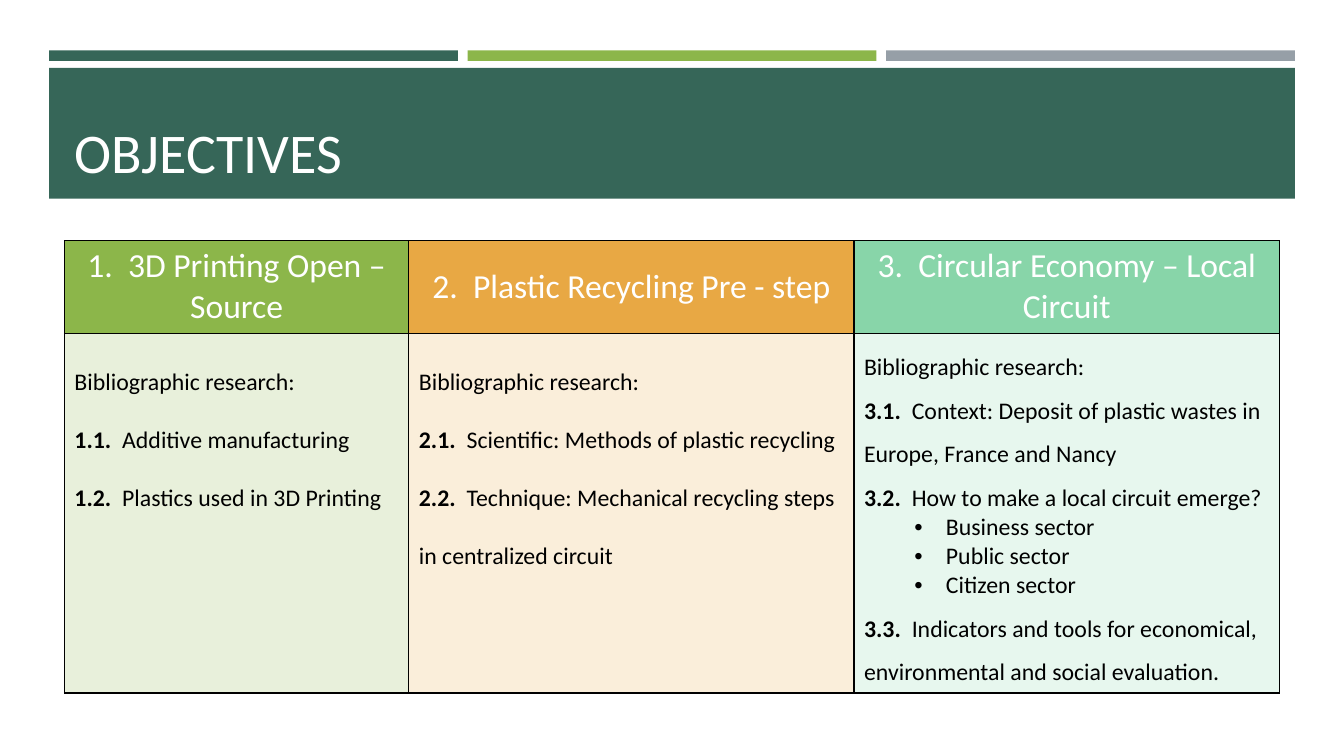
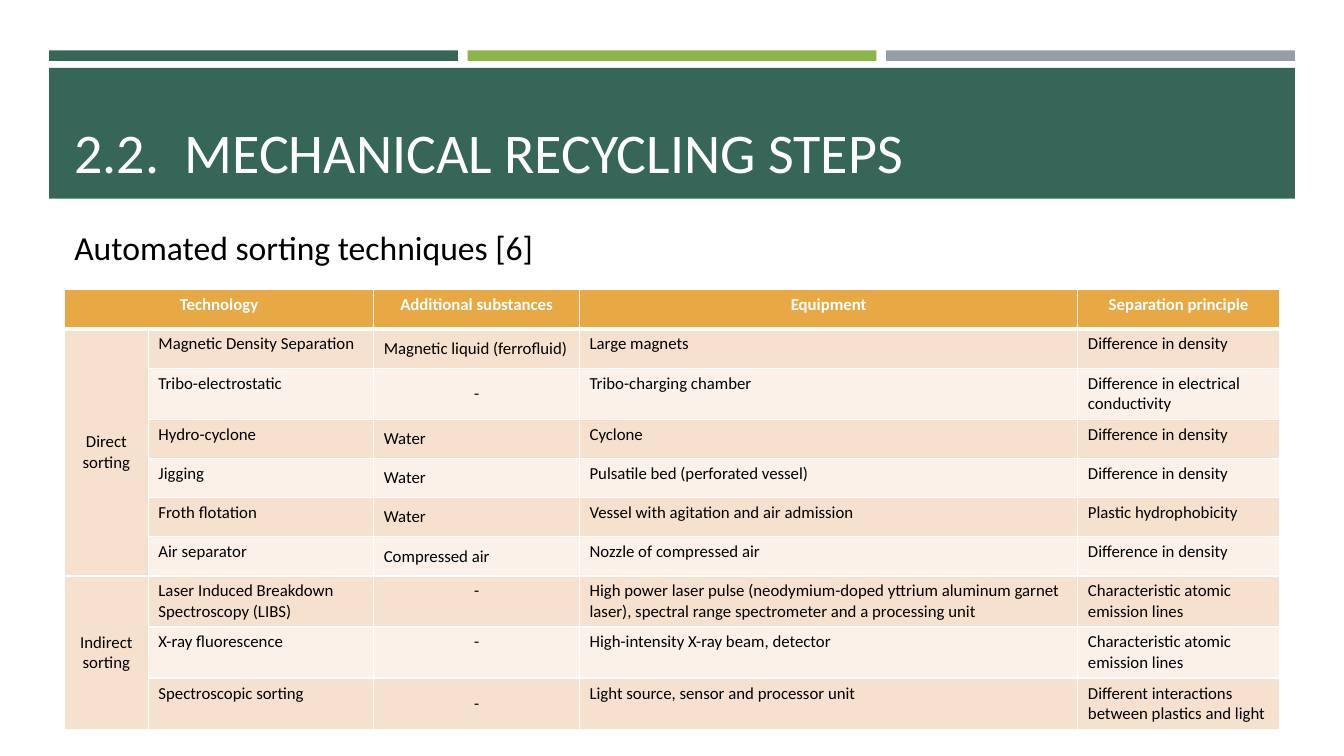
from lxml.etree import SubElement
from pptx import Presentation
from pptx.dml.color import RGBColor
from pptx.enum.shapes import MSO_SHAPE
from pptx.enum.text import MSO_ANCHOR as Anchor, PP_ALIGN as Align
from pptx.oxml.ns import qn
from pptx.util import Pt

FONT = "Calibri"
COLORS = {
    "green": "366658", "lime": "8CB64A", "grey": "969FA7",
    "orange": "E8A844", "mint": "88D5A9",
    "pale_lime": "E8F0DB", "pale_orange": "FAEEDA", "pale_mint": "E7F7EE",
    "stripe_dark": "F6E1CF", "stripe_light": "FBF1E9",
    "white": "FFFFFF", "black": "000000",
}
STRIPS = ("green", "lime", "grey")
BAND_LEFT, BAND_WIDTH, STRIP_GAP = 35, 890, 7
CONTENT_LEFT, CONTENT_WIDTH = 46, 868

INTRO = "Bibliographic research:"
OBJECTIVES = [
    {"heading": "1.  3D Printing Open – Source", "width": 246, "spacing": 2.0,
     "color": "lime", "tint": "pale_lime",
     "items": [("1.1.  ", "Additive manufacturing", []),
               ("1.2.  ", "Plastics used in 3D Printing", [])]},
    {"heading": "2.  Plastic Recycling Pre - step", "width": 318, "spacing": 2.0,
     "color": "orange", "tint": "pale_orange",
     "items": [("2.1.  ", "Scientific: Methods of plastic recycling", []),
               ("2.2.  ", "Technique: Mechanical recycling steps in centralized circuit", [])]},
    {"heading": "3.  Circular Economy – Local Circuit", "width": 304, "spacing": 1.5,
     "color": "mint", "tint": "pale_mint",
     "items": [("3.1.  ", "Context: Deposit of plastic wastes in Europe, France and Nancy", []),
               ("3.2.  ", "How to make a local circuit emerge?",
                ["Business sector", "Public sector", "Citizen sector"]),
               ("3.3.  ", "Indicators and tools for economical, environmental and "
                          "social evaluation.", [])]},
]
OBJECTIVE_HEIGHTS = (66, 257)

SORTING_HEADER = ("Technology", "", "Additional substances", "Equipment", "Separation principle")
SORTING_WIDTHS = (60, 161, 147, 356, 144)
ROW_HEIGHT, TALL_ROW_HEIGHT = 28, 36.5
TALL_ROWS = (2, 7, 8, 9)
TOP_SUBSTANCE_ROWS = (7, 8)
SORTING = {
    "Direct sorting": [
        ("Magnetic Density Separation", "Magnetic liquid (ferrofluid)", "Large magnets",
         "Difference in density"),
        ("Tribo-electrostatic", "-", "Tribo-charging chamber",
         "Difference in electrical conductivity"),
        ("Hydro-cyclone", "Water", "Cyclone", "Difference in density"),
        ("Jigging", "Water", "Pulsatile bed (perforated vessel)", "Difference in density"),
        ("Froth flotation", "Water", "Vessel with agitation and air admission",
         "Plastic hydrophobicity"),
        ("Air separator", "Compressed air", "Nozzle of compressed air", "Difference in density"),
    ],
    "Indirect sorting": [
        ("Laser Induced Breakdown Spectroscopy (LIBS)", "-",
         "High power laser pulse (neodymium-doped yttrium aluminum garnet laser), "
         "spectral range spectrometer and a processing unit",
         "Characteristic atomic emission lines"),
        ("X-ray fluorescence", "-", "High-intensity X-ray beam, detector",
         "Characteristic atomic emission lines"),
        ("Spectroscopic sorting", "-", "Light source, sensor and processor unit",
         "Different interactions between plastics and light"),
    ],
}


def rgb(color):
    return RGBColor.from_string(COLORS[color])


def style_text(frame, size, color, bold=False, align=Align.LEFT):
    for paragraph in frame.paragraphs:
        paragraph.alignment = align
        for run in paragraph.runs:
            style_run(run, size, color, bold)


def style_run(run, size, color, bold=False):
    run.font.name = FONT
    run.font.size = Pt(size)
    run.font.bold = bold
    run.font.color.rgb = rgb(color)


def add_block(slide, left, top, width, height, color):
    block = slide.shapes.add_shape(
        MSO_SHAPE.RECTANGLE, Pt(left), Pt(top), Pt(width), Pt(height))
    block.shadow.inherit = False
    block.fill.solid()
    block.fill.fore_color.rgb = rgb(color)
    block.line.fill.background()


def add_label(slide, text, left, top, width, height, size, color, anchor):
    label = slide.shapes.add_textbox(Pt(left), Pt(top), Pt(width), Pt(height)).text_frame
    label.word_wrap = True
    label.vertical_anchor = anchor
    label.text = text
    style_text(label, size, color)


def add_titled_slide(deck, title):
    slide = deck.slides.add_slide(deck.slide_layouts[6])
    strip_width = (BAND_WIDTH - STRIP_GAP * (len(STRIPS) - 1)) / len(STRIPS)
    for index, color in enumerate(STRIPS):
        left = BAND_LEFT + index * (strip_width + STRIP_GAP)
        add_block(slide, left, 36, strip_width, 7.5, color)
    add_block(slide, BAND_LEFT, 48.5, BAND_WIDTH, 93.5, "green")
    add_label(slide, title, CONTENT_LEFT, 55.5, CONTENT_WIDTH, 80, 40, "white", Anchor.BOTTOM)
    return slide


def add_grid(slide, top, widths, heights):
    table = slide.shapes.add_table(
        len(heights), len(widths), Pt(CONTENT_LEFT), Pt(top),
        Pt(sum(widths)), Pt(sum(heights))).table
    table.first_row = table.horz_banding = False
    for column, width in zip(table.columns, widths):
        column.width = Pt(width)
    for row, height in zip(table.rows, heights):
        row.height = Pt(height)
    return table


def paint_cell(cell, fill, border, top=1, bottom=1):
    properties = cell._tc.get_or_add_tcPr()
    for side, weight in (("L", 1), ("R", 1), ("T", top), ("B", bottom)):
        line = SubElement(properties, qn(f"a:ln{side}"), w=str(Pt(weight)))
        SubElement(SubElement(line, qn("a:solidFill")), qn("a:srgbClr"), val=COLORS[border])
    cell.fill.solid()
    cell.fill.fore_color.rgb = rgb(fill)


def add_bullet(paragraph):
    paragraph.level = 1
    properties = paragraph._p.get_or_add_pPr()
    properties.set("marL", str(Pt(58.5)))
    properties.set("indent", str(Pt(-22.5)))
    SubElement(properties, qn("a:buFont"), typeface="Arial")
    SubElement(properties, qn("a:buChar"), char="•")


def write_objective(frame, objective):
    frame.text = INTRO
    frame.paragraphs[0].line_spacing = objective["spacing"]
    style_text(frame, 17, "black")
    for number, topic, sectors in objective["items"]:
        paragraph = frame.add_paragraph()
        paragraph.line_spacing = objective["spacing"]
        for text, bold in ((number, True), (topic, False)):
            run = paragraph.add_run()
            run.text = text
            style_run(run, 17, "black", bold)
        for sector in sectors:
            bullet = frame.add_paragraph()
            bullet.text = sector
            add_bullet(bullet)
            style_run(bullet.runs[0], 17, "black")


def build_objectives(deck):
    slide = add_titled_slide(deck, "OBJECTIVES")
    table = add_grid(slide, 172, [entry["width"] for entry in OBJECTIVES], OBJECTIVE_HEIGHTS)
    for column, objective in enumerate(OBJECTIVES):
        heading, body = table.cell(0, column), table.cell(1, column)
        paint_cell(heading, objective["color"], "black")
        paint_cell(body, objective["tint"], "black")
        heading.vertical_anchor = Anchor.MIDDLE
        heading.text_frame.text = objective["heading"]
        style_text(heading.text_frame, 24, "white", align=Align.CENTER)
        write_objective(body.text_frame, objective)


def build_sorting(deck):
    slide = add_titled_slide(deck, "2.2.  MECHANICAL RECYCLING STEPS")
    add_label(slide, "Automated sorting techniques [6]",
              CONTENT_LEFT, 158.5, 407.5, 36, 24, "black", Anchor.TOP)

    rows = [SORTING_HEADER]
    groups = []
    for group, techniques in SORTING.items():
        groups.append((len(rows), len(rows) + len(techniques) - 1))
        rows += [(group if index == 0 else "", *technique)
                 for index, technique in enumerate(techniques)]
    heights = [TALL_ROW_HEIGHT if row in TALL_ROWS else ROW_HEIGHT for row in range(len(rows))]
    table = add_grid(slide, 207, SORTING_WIDTHS, heights)

    for row, texts in enumerate(rows):
        header = row == 0
        for column, text in enumerate(texts):
            cell = table.cell(row, column)
            if header:
                fill = "orange"
            else:
                fill = "stripe_dark" if column == 0 or row % 2 else "stripe_light"
            paint_cell(cell, fill, "white", top=3 if row == 1 else 1, bottom=3 if header else 1)
            cell.text_frame.text = text
            centred = header or column == 0 or text == "-"
            style_text(cell.text_frame, 12, "white" if header else "black", header,
                       Align.CENTER if centred else Align.LEFT)
            if not header and (column == 0 or column == 2 and row not in TOP_SUBSTANCE_ROWS):
                cell.vertical_anchor = Anchor.MIDDLE

    table.cell(0, 0).merge(table.cell(0, 1))
    for first, last in groups:
        table.cell(first, 0).merge(table.cell(last, 0))


def main():
    deck = Presentation()
    deck.slide_width, deck.slide_height = Pt(960), Pt(540)
    build_objectives(deck)
    build_sorting(deck)
    deck.save("out.pptx")


if __name__ == "__main__":
    main()
